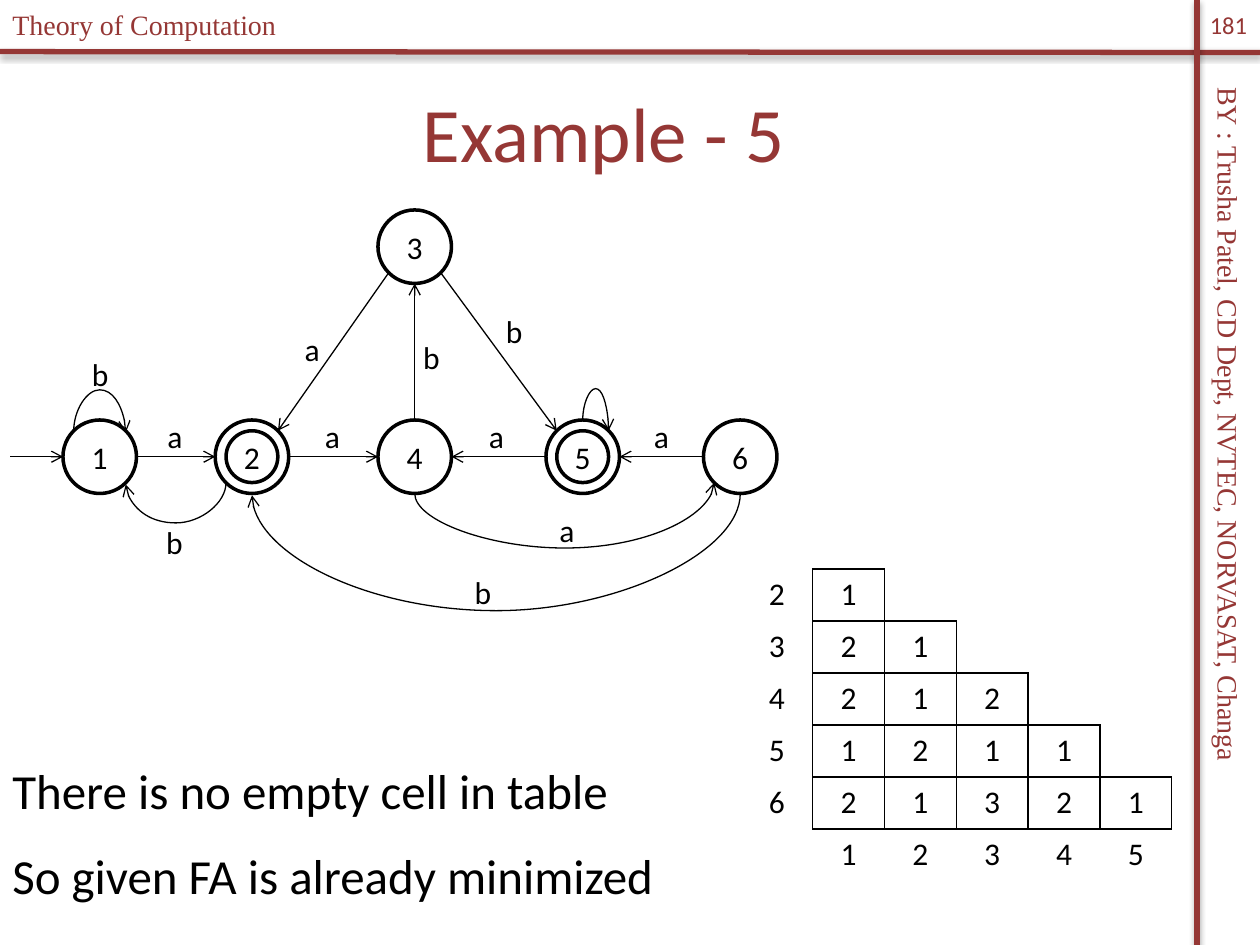
from math import sqrt
from lxml.etree import SubElement
from pptx import Presentation
from pptx.dml.color import RGBColor
from pptx.enum.shapes import MSO_CONNECTOR as LINK, MSO_SHAPE as SHAPE
from pptx.enum.text import MSO_ANCHOR as ANCHOR, MSO_AUTO_SIZE as AUTO, PP_ALIGN as ALIGN
from pptx.oxml.ns import qn
from pptx.util import Pt

RED, BLACK, WHITE = "953735", "000000", "FFFFFF"
SERIF = "Times New Roman"
DIAMETER, INNER = 42, 29.6

# state: centre x, centre y, accepting
STATES = {
    "1": (57, 261, False), "2": (144, 261, True), "4": (237, 261, False),
    "5": (333, 261, True), "6": (423, 261, False), "3": (237, 141, False),
}
# from state, side, to state, side
STRAIGHT = [
    ("4", "top", "3", "bottom"), ("3", "bottom left", "2", "top right"),
    ("3", "bottom right", "5", "top left"), ("2", "right", "4", "left"),
    ("5", "left", "4", "right"), ("6", "left", "5", "right"), ("1", "right", "2", "left"),
]
# the same, then the height at which the arc turns
ARCS = [
    ("1", "top left", "1", "top right", 222.5), ("5", "top", "5", "top right", 222),
    ("4", "bottom", "6", "bottom left", 313.2), ("6", "bottom", "2", "bottom", 349.5),
    ("2", "bottom left", "1", "bottom right", 299),
]
LABELS = [
    ("a", 178.6, 234.7), ("b", 282, 175), ("a", 88.6, 234.7), ("a", 312.5, 288.7),
    ("a", 366.5, 234.7), ("a", 167, 185), ("a", 272.2, 234.7), ("b", 234.7, 189.4),
    ("b", 264.2, 324), ("b", 45.4, 199.4), ("b", 87.8, 295.2),
]
TABLE = [
    ["2", "1"],
    ["3", "2", "1"],
    ["4", "2", "1", "2"],
    ["5", "1", "2", "1", "1"],
    ["6", "2", "1", "3", "2", "1"],
    ["", "1", "2", "3", "4", "5"],
]
TABLE_LEFT, TABLE_TOP, COLUMN, ROW = 423.4, 325.1, 41.04, 29.76
CONCLUSION = ["There is no empty cell in table", "So given FA is already minimized"]


def colour(value):
    return RGBColor.from_string(value)


def write(frame, *lines, size=18, font="Calibri", color=BLACK, align=ALIGN.LEFT, gap=0):
    for i, line in enumerate(lines):
        paragraph = frame.paragraphs[0] if i == 0 else frame.add_paragraph()
        paragraph.alignment = align
        if i:
            paragraph.space_before = Pt(gap)
        run = paragraph.add_run()
        run.text = line
        run.font.size, run.font.name = Pt(size), font
        run.font.color.rgb = colour(color)


def add_text(box, *lines, grow=True, **style):
    """Growing boxes fit one line each; the others wrap and centre vertically."""
    label = slide.shapes.add_textbox(*map(Pt, box))
    frame = label.text_frame
    frame.word_wrap = not grow
    frame.auto_size = AUTO.SHAPE_TO_FIT_TEXT if grow else AUTO.NONE
    frame.vertical_anchor = ANCHOR.TOP if grow else ANCHOR.MIDDLE
    write(frame, *lines, **style)
    return label


def add_line(start, end, width=0.75, color=BLACK, arrow=True, kind=LINK.STRAIGHT):
    line = slide.shapes.add_connector(kind, *map(Pt, (*start, *end)))
    line.line.color.rgb, line.line.width = colour(color), Pt(width)
    if arrow:
        SubElement(line.line._get_or_add_ln(), qn("a:tailEnd"), type="arrow")
    SubElement(line._element.spPr, qn("a:effectLst"))
    return line


def add_rule(start, end):
    """Thick page rule with a soft shadow below it."""
    effects = add_line(start, end, 3, RED, arrow=False)._element.spPr.find(qn("a:effectLst"))
    shadow = SubElement(effects, qn("a:outerShdw"), blurRad="40000", dist="23000",
                        dir="5400000", rotWithShape="0")
    black = SubElement(shadow, qn("a:srgbClr"), val=BLACK)
    SubElement(black, qn("a:alpha"), val="35000")


def add_arc(start, end, turn):
    """U-shaped arrow: a curved connector on its side, turning at height turn."""
    (x1, y1), (x2, y2) = start, end
    dx, dy = x2 - x1, y2 - y1
    if abs(dy) < 1:
        dy = 1  # the bend is a share of dy, so it cannot be zero
    arc = add_line(start, end, kind=LINK.CURVE)
    arc.width, arc.height = Pt(abs(dy)), Pt(abs(dx))
    arc.left = Pt(x1 + dx / 2 - abs(dy) / 2)
    arc.top = Pt(y1 + dy / 2 - abs(dx) / 2)
    frame = arc._element.spPr.find(qn("a:xfrm"))
    frame.set("rot", "5400000")
    frame.set("flipH", str(int(dy < 0)))
    frame.set("flipV", str(int(dx > 0)))
    geometry = arc._element.spPr.find(qn("a:prstGeom"))
    guides = geometry.find(qn("a:avLst"))
    if guides is None:
        guides = SubElement(geometry, qn("a:avLst"))
    SubElement(guides, qn("a:gd"), name="adj1", fmla=f"val {round((turn - y1) / dy * 100000)}")


def site(state, side):
    """Point on a state's circle, such as "top" or "bottom left"."""
    x, y, _ = STATES[state]
    dx = ("right" in side) - ("left" in side)
    dy = ("bottom" in side) - ("top" in side)
    reach = DIAMETER / 2 / sqrt(dx * dx + dy * dy)
    return x + dx * reach, y + dy * reach


def add_circle(x, y, diameter):
    circle = slide.shapes.add_shape(
        SHAPE.OVAL, *map(Pt, (x - diameter / 2, y - diameter / 2, diameter, diameter)))
    circle.shadow.inherit = False
    circle.fill.background()
    circle.line.color.rgb, circle.line.width = colour(BLACK), Pt(2)
    return circle


def boxed(row, column):
    return 0 <= row < len(TABLE) - 1 and 1 <= column <= row + 1


def add_borders(cell, row, column):
    """Draw each edge that touches a boxed cell and clear the rest."""
    properties = cell._tc.get_or_add_tcPr()
    sides = [("lnL", 0, -1), ("lnR", 0, 1), ("lnT", -1, 0), ("lnB", 1, 0)]
    for tag, down, across in sides:
        edge = SubElement(properties, qn(f"a:{tag}"), w="12700")
        if boxed(row, column) or boxed(row + down, column + across):
            fill = SubElement(edge, qn("a:solidFill"))
            SubElement(fill, qn("a:srgbClr"), val=BLACK)
        else:
            SubElement(edge, qn("a:noFill"))


presentation = Presentation()
presentation.slide_width, presentation.slide_height = Pt(720), Pt(540)
slide = presentation.slides.add_slide(presentation.slide_layouts[6])

add_rule((0, 29.5), (720, 30))
add_rule((684, 0), (684, 540))
byline = add_text((470.9, 260.6, 462.2, 26.6),
                  "BY : Trusha Patel, CD Dept, NVTEC, NORVASAT, Changa",
                  size=16, font=SERIF, color=RED)
byline.rotation = 90
add_text((0, 0.7, 236.9, 26.6), "Theory of Computation", size=16, font=SERIF, color=RED)
add_text((12, 30, 666, 90), "Example - 5", grow=False, size=44, color=RED, align=ALIGN.CENTER)
add_text((684, 0, 36, 28.8), "181", grow=False, size=14, color=RED, align=ALIGN.CENTER)

for state, (x, y, accepting) in STATES.items():
    circle = add_circle(x, y, DIAMETER)
    circle.fill.solid()
    circle.fill.fore_color.rgb = colour(WHITE)
    circle.text_frame.vertical_anchor = ANCHOR.MIDDLE
    write(circle.text_frame, state, align=ALIGN.CENTER)
    if accepting:
        add_circle(x, y, INNER)

add_line((6, 261), site("1", "left"))
for source, source_side, target, target_side in STRAIGHT:
    add_line(site(source, source_side), site(target, target_side))
for source, source_side, target, target_side, turn in ARCS:
    add_arc(site(source, source_side), site(target, target_side), turn)
for symbol, x, y in LABELS:
    add_text((x, y, 23 if symbol == "a" else 24.3, 29), symbol)

size = len(TABLE)
grid = slide.shapes.add_table(size, size, *map(
    Pt, (TABLE_LEFT, TABLE_TOP, COLUMN * size, ROW * size))).table
grid.first_row = grid.horz_banding = False
for i in range(size):
    grid.columns[i].width, grid.rows[i].height = Pt(COLUMN), Pt(ROW)
    for j in range(size):
        cell = grid.cell(i, j)
        add_borders(cell, i, j)
        cell.fill.background()
        write(cell.text_frame, TABLE[i][j] if j < len(TABLE[i]) else "", align=ALIGN.CENTER)

add_text((0, 431.3, 384.5, 90), *CONCLUSION, size=28, gap=14.5)

presentation.save("out.pptx")
